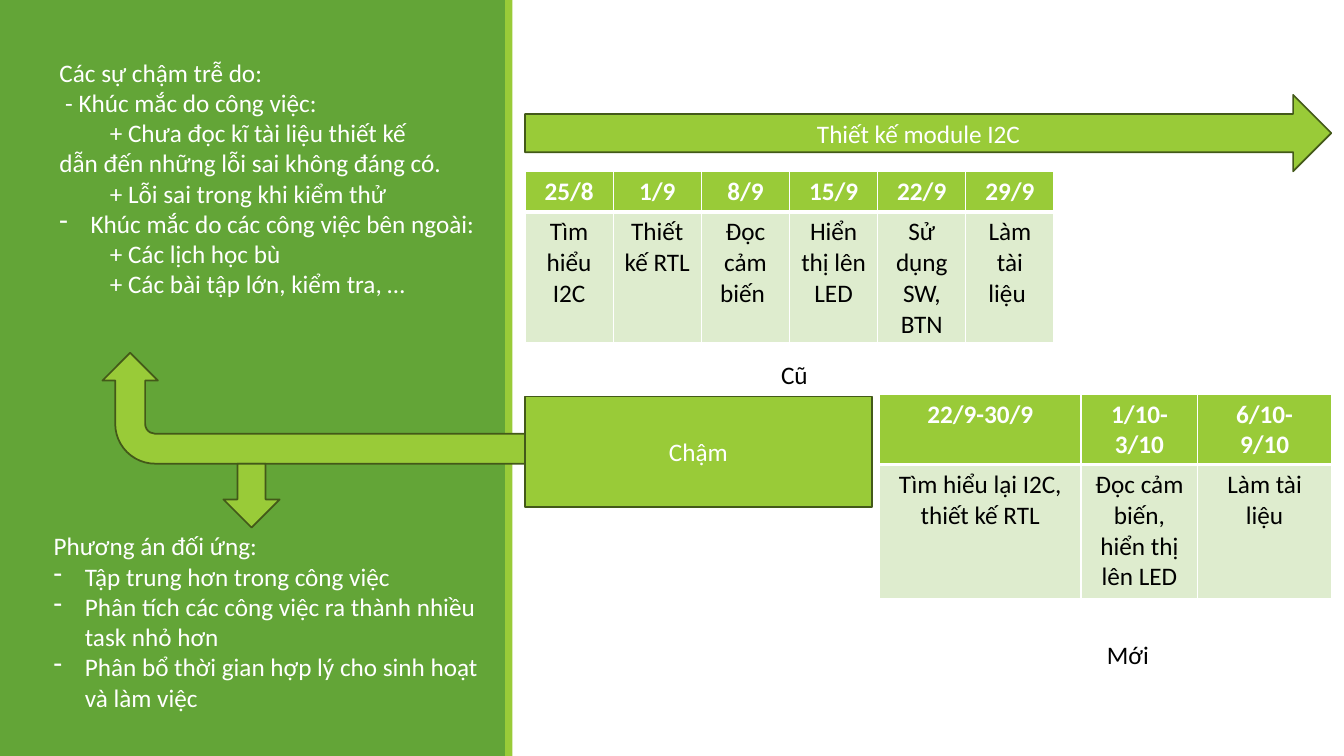
from dataclasses import dataclass

from lxml.etree import SubElement
from pptx import Presentation
from pptx.dml.color import RGBColor
from pptx.enum.shapes import MSO_SHAPE as Shape
from pptx.enum.text import MSO_ANCHOR as Anchor, PP_ALIGN as Align
from pptx.oxml import parse_xml
from pptx.oxml.ns import nsdecls, qn
from pptx.util import Inches, Pt

COLUMNS, ROWS = 160, 90
UNIT = 7.5 / ROWS
GREEN, LIME, PALE, OLIVE = "63A537", "99CB38", "DEECCE", "435919"
WHITE, BLACK = "FFFFFF", "000000"
HANG, STEP = 0.31, 0.5

DELAY_CAUSES = [
    ("Các sự chậm trễ do:", {}),
    (" - Khúc mắc do công việc:", {}),
    ("+ Chưa đọc kĩ tài liệu thiết kế", {"indent": STEP}),
    ("dẫn đến những lỗi sai không đáng có.", {}),
    ("+ Lỗi sai trong khi kiểm thử", {"indent": STEP}),
    ("Khúc mắc do các công việc bên ngoài:", {"bullet": "-"}),
    ("+ Các lịch học bù", {"indent": STEP}),
    ("+ Các bài tập lớn, kiểm tra, …", {"indent": STEP}),
]
RESPONSES = [
    ("Phương án đối ứng:", {}),
    ("Tập trung hơn trong công việc", {"bullet": "-"}),
    ("Phân tích các công việc ra thành nhiều task nhỏ hơn", {"bullet": "-"}),
    ("Phân bổ thời gian hợp lý cho sinh hoạt và làm việc", {"bullet": "-"}),
]
OLD_SCHEDULE = [
    ["25/8", "1/9", "8/9", "15/9", "22/9", "29/9"],
    ["Tìm hiểu I2C", "Thiết kế RTL", "Đọc cảm biến ", "Hiển thị lên LED",
     "Sử dụng SW, BTN", "Làm tài liệu "],
]
NEW_SCHEDULE = [
    ["22/9-30/9", "1/10-3/10", "6/10-\n9/10"],
    ["Tìm hiểu lại I2C, thiết kế RTL", "Đọc cảm biến, hiển thị lên LED", "Làm tài liệu"],
]


@dataclass
class Box:
    left: float
    top: float
    width: float
    height: float

    def area(self, left, top, width, height):
        return Box(self.left + left, self.top + top, width, height)

    def turned(self):
        shift = (self.width - self.height) / 2
        return Box(self.left + shift, self.top - shift, self.height, self.width)

    def lengths(self):
        return [grid(n) for n in (self.left, self.top, self.width, self.height)]


def grid(count):
    return Inches(count * UNIT)


def color(code):
    return RGBColor.from_string(code)


def paint(item, code):
    item.fill.solid()
    item.fill.fore_color.rgb = color(code)


def write(para, text, ink=WHITE, bold=False, align=Align.LEFT, indent=0, bullet=None):
    para.alignment = align
    span = para.add_run()
    span.text = text
    span.font.name = "Calibri"
    span.font.size = Pt(18)
    span.font.bold = bold
    span.font.color.rgb = color(ink)
    props = para._p.get_or_add_pPr()
    if bullet:
        props.set("marL", str(Inches(HANG)))
        props.set("indent", str(-Inches(HANG)))
        SubElement(props, qn("a:buFontTx"))
        SubElement(props, qn("a:buChar"), char=bullet)
    elif indent:
        props.set("marL", str(Inches(indent)))


def write_lines(frame, lines, **shared):
    for index, (text, style) in enumerate(lines):
        para = frame.add_paragraph() if index else frame.paragraphs[0]
        write(para, text, **shared, **style)


def add_text(page, box, lines, **shared):
    frame = page.shapes.add_textbox(*box.lengths()).text_frame
    frame.word_wrap = True
    write_lines(frame, lines, **shared)


def add_block(page, kind, box, fill=LIME, line=OLIVE, label=None):
    block = page.shapes.add_shape(kind, *box.lengths())
    block.shadow.inherit = False
    paint(block, fill)
    if line:
        block.line.color.rgb = color(line)
        block.line.width = Pt(1.25)
    else:
        block.line.fill.background()
    if label:
        block.text_frame.vertical_anchor = Anchor.MIDDLE
        write(block.text_frame.paragraphs[0], label, align=Align.CENTER)
    return block


def add_borders(cell, top, bottom):
    props = cell._tc.get_or_add_tcPr()
    for side, points in (("L", 1), ("R", 1), ("T", top), ("B", bottom)):
        props.append(parse_xml(
            f'<a:ln{side} {nsdecls("a")} w="{Pt(points)}"><a:solidFill>'
            f'<a:srgbClr val="{WHITE}"/></a:solidFill></a:ln{side}>'))


def add_schedule(page, box, widths, heights, values):
    shape = page.shapes.add_table(len(heights), len(widths), *box.lengths())
    table = shape.table
    for column, width in zip(table.columns, widths):
        column.width = grid(width)
    for row, height, texts in zip(table.rows, heights, values):
        row.height = grid(height)
        head = texts is values[0]
        for cell, text in zip(row.cells, texts):
            add_borders(cell, 1 if head else 3, 3 if head else 1)
            paint(cell, LIME if head else PALE)
            lines = [(line, {}) for line in text.split("\n")]
            write_lines(cell.text_frame, lines, ink=WHITE if head else BLACK,
                        bold=head, align=Align.CENTER)


def add_sidebar(page, box):
    stripe = 0.85
    body = box.width - stripe
    add_block(page, Shape.RECTANGLE, box.area(0, 0, body, box.height), GREEN, None)
    add_block(page, Shape.RECTANGLE, box.area(body, 0, stripe, box.height), LIME, None)
    add_text(page, box.area(5.9, 6.2, 55, 34), DELAY_CAUSES)
    add_text(page, box.area(5.2, 62.6, 53.4, 23), RESPONSES)


def add_old_plan(page, box):
    add_block(page, Shape.RIGHT_ARROW, box.area(0, 0, box.width, 9.1),
              label="Thiết kế module I2C")
    widths, heights = [10.5] * 6, [4.8, 15.6]
    add_schedule(page, box.area(0, 9.1, sum(widths), sum(heights)),
                 widths, heights, OLD_SCHEDULE)
    add_text(page, box.area(29.3, 30.9, 17.9, 4.8), [("Cũ", {})], ink=BLACK)


def add_new_plan(page, box):
    add_block(page, Shape.RECTANGLE, box.area(0, 0.3, 41.3, 13.2), label="Chậm")
    widths, heights = [24, 13.9, 15.9], [8.4, 16]
    add_schedule(page, box.area(box.width - sum(widths), 0, sum(widths), sum(heights)),
                 widths, heights, NEW_SCHEDULE)
    add_text(page, box.area(68.1, 28.6, 9.4, 4.8), [("Mới", {})], ink=BLACK)


def add_delay_arrows(page, box):
    bend = add_block(page, Shape.BENT_ARROW,
                     box.area(0, 0, box.width, 13.2).turned())
    bend.rotation = 270
    for index, share in enumerate((0.27, 0.25, 0.25, 0.36)):
        bend.adjustments[index] = share
    add_block(page, Shape.DOWN_ARROW, box.area(14.4, 13.2, 6.7, 7.6))


def main():
    deck = Presentation()
    deck.slide_width, deck.slide_height = grid(COLUMNS), grid(ROWS)
    page = deck.slides.add_slide(deck.slide_layouts[6])
    add_sidebar(page, Box(0, 0, 61, ROWS))
    add_old_plan(page, Box(62.5, 11.3, 96, 36))
    add_new_plan(page, Box(62.5, 46.9, 96, 34))
    add_delay_arrows(page, Box(12.2, 42, 50.3, 21))
    deck.save("out.pptx")


if __name__ == "__main__":
    main()
